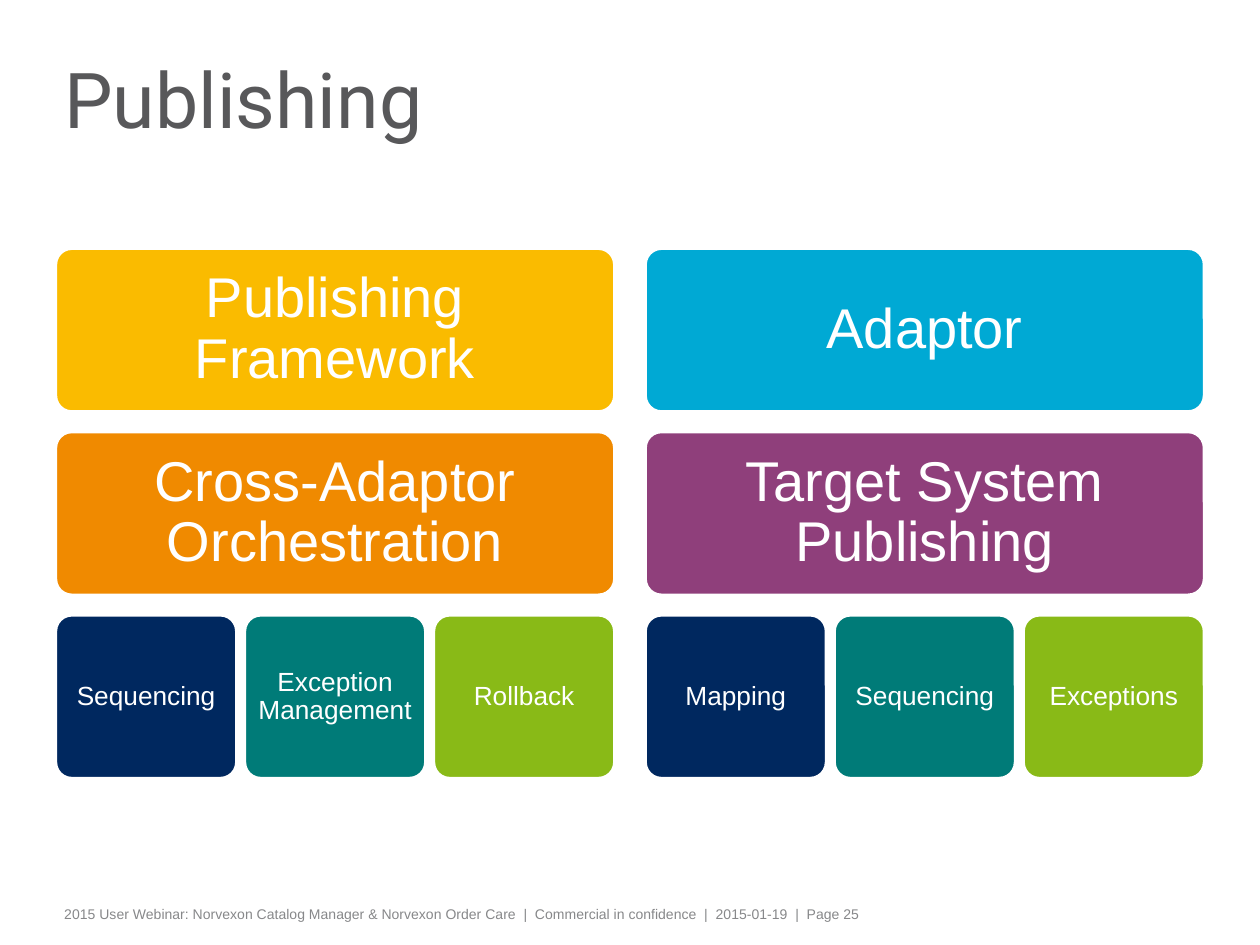
from dataclasses import dataclass

from pptx import Presentation
from pptx.dml.color import RGBColor
from pptx.enum.shapes import MSO_SHAPE
from pptx.enum.text import MSO_ANCHOR, MSO_AUTO_SIZE, PP_ALIGN
from pptx.util import Inches, Pt


@dataclass(frozen=True)
class Theme:
    white: str = "FFFFFF"
    title: str = "58585A"
    footer: str = "87888A"
    yellow: str = "FABB00"
    orange: str = "F08A00"
    blue: str = "00A9D4"
    purple: str = "8F3F7B"
    steps: tuple[str, ...] = ("00285F", "007B78", "89BA17")
    title_font: str = "Roboto"
    body_font: str = "Arial"
    title_size: int = 44
    block_size: int = 32
    step_size: int = 15
    footer_size: int = 8


@dataclass(frozen=True)
class Column:
    blocks: tuple[tuple[str, str], ...]  # (text, fill)
    steps: tuple[str, ...]


THEME = Theme()
COLUMNS = (
    Column((("Publishing Framework", THEME.yellow),
            ("Cross-Adaptor Orchestration", THEME.orange)),
           ("Sequencing", "Exception Management", "Rollback")),
    Column((("Adaptor", THEME.blue),
            ("Target System Publishing", THEME.purple)),
           ("Mapping", "Sequencing", "Exceptions")),
)

# Grid, in inches
LEFT, TOP = 0.44, 1.97
COLUMN_PITCH, ROW_PITCH, STEP_PITCH = 4.68, 1.455, 1.5
BLOCK_W, STEP_W, BOX_H = 4.44, 1.44, 1.3


def set_text(sp, text: str, font: str, size: int, color: str,
             insets: tuple[float, float], align=PP_ALIGN.LEFT,
             anchor=MSO_ANCHOR.TOP, spacing: float = 1.0) -> None:
    tf = sp.text_frame
    tf.text = text
    tf.word_wrap = True
    tf.auto_size = MSO_AUTO_SIZE.NONE
    tf.vertical_anchor = anchor
    tf.margin_left = tf.margin_right = Inches(insets[0])
    tf.margin_top = tf.margin_bottom = Inches(insets[1])
    p = tf.paragraphs[0]
    p.alignment = align
    p.line_spacing = spacing
    r = p.runs[0]
    r.font.name = font
    r.font.size = Pt(size)
    r.font.color.rgb = RGBColor.from_string(color)


def add_box(s, x: float, y: float, w: float, text: str, fill: str,
            size: int, inset: float) -> None:
    sp = s.shapes.add_shape(MSO_SHAPE.ROUNDED_RECTANGLE, Inches(x), Inches(y),
                            Inches(w), Inches(BOX_H))
    sp.adjustments[0] = 0.1
    sp.shadow.inherit = False
    sp.fill.solid()
    sp.fill.fore_color.rgb = RGBColor.from_string(fill)
    sp.line.color.rgb = RGBColor.from_string(THEME.white)
    sp.line.width = Pt(2)
    set_text(sp, text, THEME.body_font, size, THEME.white, (inset, inset),
             PP_ALIGN.CENTER, MSO_ANCHOR.MIDDLE, 0.9)


def add_column(s, x: float, column: Column) -> None:
    for row, (text, fill) in enumerate(column.blocks):
        add_box(s, x, TOP + row * ROW_PITCH, BLOCK_W, text, fill,
                THEME.block_size, 0.13)
    y = TOP + len(column.blocks) * ROW_PITCH
    for i, (text, fill) in enumerate(zip(column.steps, THEME.steps)):
        add_box(s, x + i * STEP_PITCH, y, STEP_W, text, fill,
                THEME.step_size, 0.06)


def main() -> None:
    prs = Presentation()
    prs.slide_width, prs.slide_height = Inches(10), Inches(7.5)
    s = prs.slides.add_slide(prs.slide_layouts[5])

    # Title
    title = s.shapes.title
    title.left, title.top = Inches(0.43), Inches(0.26)
    title.width, title.height = Inches(8.2), Inches(1.19)
    set_text(title, "Publishing", THEME.title_font, THEME.title_size,
             THEME.title, (0.08, 0), anchor=MSO_ANCHOR.MIDDLE, spacing=0.75)

    # Two columns of blocks, each ending in a row of steps
    for i, column in enumerate(COLUMNS):
        add_column(s, LEFT + i * COLUMN_PITCH, column)

    # Footer
    footer = s.shapes.add_textbox(Inches(0.43), Inches(7.14),
                                  Inches(8.09), Inches(0.24))
    set_text(footer, "2015 User Webinar: Norvexon Catalog Manager & Norvexon "
             "Order Care  |  Commercial in confidence  |  2015-01-19  |  "
             "Page 25", THEME.body_font, THEME.footer_size, THEME.footer,
             (0.08, 0.05))

    prs.save("out.pptx")


if __name__ == "__main__":
    main()
